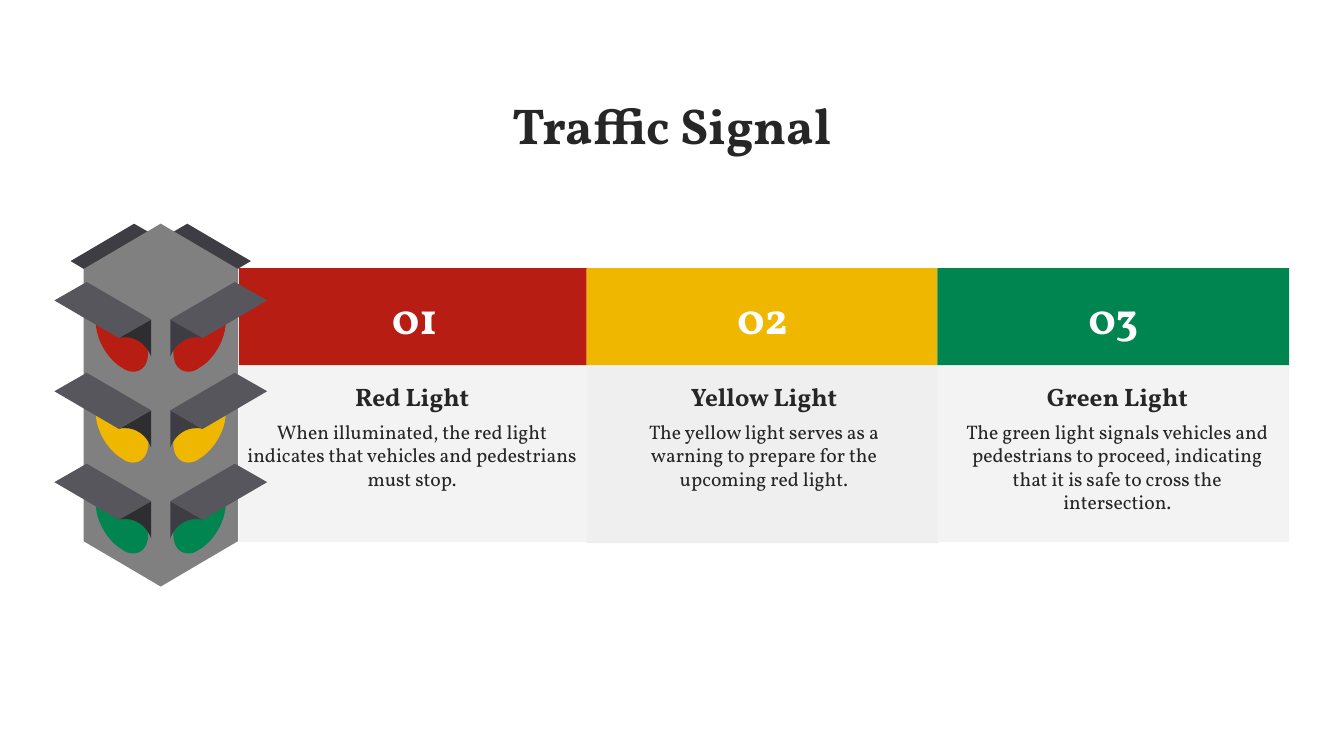
from pptx import Presentation
from pptx.dml.color import RGBColor as RGB
from pptx.enum.shapes import MSO_SHAPE as Shape
from pptx.enum.text import MSO_ANCHOR as Anchor, MSO_AUTO_SIZE as Fit, PP_ALIGN as Align
from pptx.util import Pt

RED = RGB(0xB8, 0x1D, 0x13)
YELLOW = RGB(0xEF, 0xB7, 0x00)
GREEN = RGB(0x00, 0x84, 0x50)
PALE = RGB(0xF3, 0xF3, 0xF3)
MIST = RGB(0xEF, 0xEF, 0xEF)
GREY = RGB(0x80, 0x80, 0x80)
HOOD = RGB(0x57, 0x56, 0x5C)
SHADE = RGB(0x3E, 0x3D, 0x43)
DARK = RGB(0x2E, 0x2E, 0x30)
INK = RGB(0x26, 0x26, 0x26)
WHITE = RGB(0xFF, 0xFF, 0xFF)

AXIS = 114.84  # middle of the signal
STEPS = 12  # line pieces per curve


def draw(shapes, path, side, top, color):
    """Fill an outline given as offsets from AXIS and top; side is 1 or -1.

    A pair is a corner; six numbers are a cubic curve.
    """
    dots = [path[0]]
    for part in path[1:]:
        if len(part) == 2:
            dots.append(part)
            continue
        a, b = dots[-1]
        c, d, e, f, g, h = part
        for k in range(1, STEPS + 1):
            t = k / STEPS
            u = 1 - t
            dots.append((u**3 * a + 3 * u * u * t * c + 3 * u * t * t * e + t**3 * g,
                         u**3 * b + 3 * u * u * t * d + 3 * u * t * t * f + t**3 * h))
    spots = [(Pt(AXIS + side * x), Pt(top + y)) for x, y in dots]
    pen = shapes.build_freeform(*spots[0])
    pen.add_line_segments(spots[1:], close=True)
    form = pen.convert_to_shape()
    form.shadow.inherit = False
    form.fill.solid()
    form.fill.fore_color.rgb = color
    form.line.fill.background()


def write(para, text, size, color, bold=True):
    para.alignment = Align.CENTER
    run = para.add_run()
    run.text = text
    run.font.name = "Vollkorn"
    run.font.size = Pt(size)
    run.font.bold = bold
    run.font.color.rgb = color


deck = Presentation()
deck.slide_width = Pt(960)
deck.slide_height = Pt(540)
slide = deck.slides.add_slide(deck.slide_layouts[5])

title = slide.shapes.title
title.left, title.top, title.width, title.height = Pt(0), Pt(63.4), Pt(960), Pt(51.1)
title.text_frame.auto_size = Fit.NONE
title.text_frame.vertical_anchor = Anchor.TOP
write(title.text_frame.paragraphs[0], "Traffic Signal", 36, INK)

# Cards: left edge, panel top, colours, texts, then text left and width
cards = [
    (170.6, 191.5, PALE, RED, "01", "Red Light",
     "When illuminated, the red light indicates that vehicles and pedestrians must stop.",
     163.4, 262),
    (419, 192.2, MIST, YELLOW, "02", "Yellow Light",
     "The yellow light serves as a warning to prepare for the upcoming red light.",
     430.6, 230.4),
    (669.6, 191.5, PALE, GREEN, "03", "Green Light",
     "The green light signals vehicles and pedestrians to proceed, "
     "indicating that it is safe to cross the intersection.",
     682.6, 231),
]
for left, top, back, color, number, head, body, start, width in cards:
    for y, high, fill in ((top, 195.8, back), (191.5, 69.4, color)):
        box = slide.shapes.add_shape(Shape.RECTANGLE, Pt(left), Pt(y), Pt(251.3), Pt(high))
        box.shadow.inherit = False
        box.fill.solid()
        box.fill.fore_color.rgb = fill
        box.line.fill.background()
    box.text_frame.vertical_anchor = Anchor.MIDDLE
    write(box.text_frame.paragraphs[0], number, 32, WHITE)

    note = slide.shapes.add_textbox(Pt(start), Pt(268.6), Pt(width), Pt(86)).text_frame
    note.word_wrap = True
    write(note.paragraphs[0], head, 18, INK)
    write(note.add_paragraph(), body, 14, INK, False)
    for para in note.paragraphs:
        para.space_before = Pt(6)

# Signal: every part is drawn for the right side and mirrored to the left
rear = [(19, 0), (-4.7, 13.7), (41.4, 40.4), (64.4, 26.7)]
half = [(0, 0), (55.1, 32.4), (55.1, 226.8), (0, 259.2)]
case = half + [(-x, y) for x, y in half[2:0:-1]]
lamp = [(36.4, 15.1), (33.5, 15.1, 30.6, 15.8, 27.7, 18),
        (17.6, 23.8, 9, 38.9, 9, 50.4), (9, 59, 13.3, 64.1, 19.8, 64.1),
        (22, 64.1, 24.8, 63.4, 27.7, 61.2), (37.8, 55.4, 46.4, 41, 46.4, 28.8),
        (46.4, 20.2, 42.1, 15.1, 36.4, 15.1)]
cheek = [(6.8, 26.8), (6.8, 53.5), (9.7, 45.4, 16.9, 39.6, 24.9, 39.6),
         (27.7, 39.6), (29.9, 40.1)]
visor = [(52.9, 0), (6.8, 26.8), (29.9, 40.1), (76, 13.2)]

signal = slide.shapes.add_group_shape().shapes
for side in (-1, 1):
    draw(signal, rear, side, 159.8, SHADE)
draw(signal, case, 1, 159.8, GREY)
for row, color in enumerate((RED, YELLOW, GREEN)):
    top = 201.4 + 64.9 * row
    for side, inner in ((-1, DARK), (1, SHADE)):
        draw(signal, lamp, side, top, color)
        draw(signal, cheek, side, top, inner)
        draw(signal, visor, side, top, HOOD)

deck.save("out.pptx")
